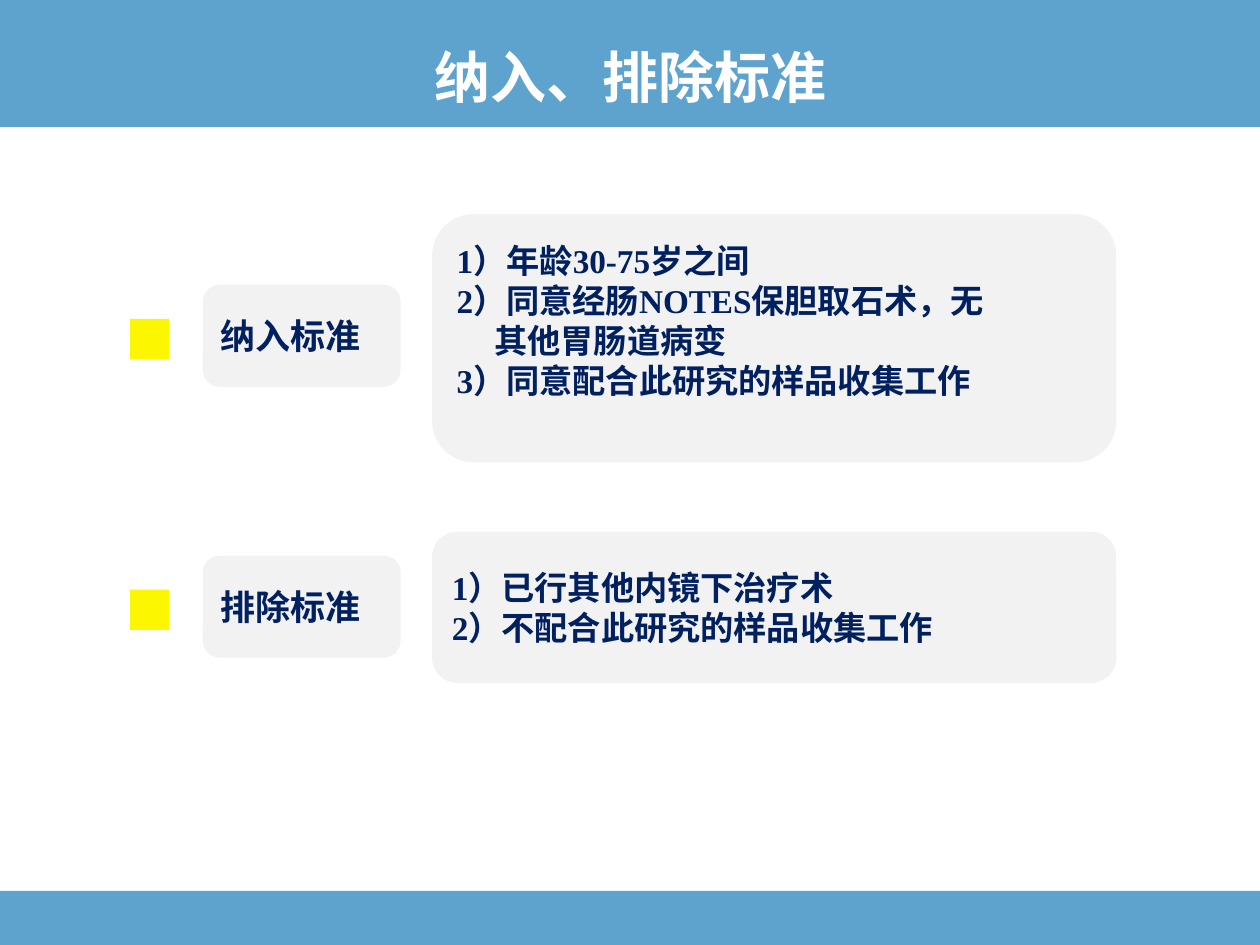
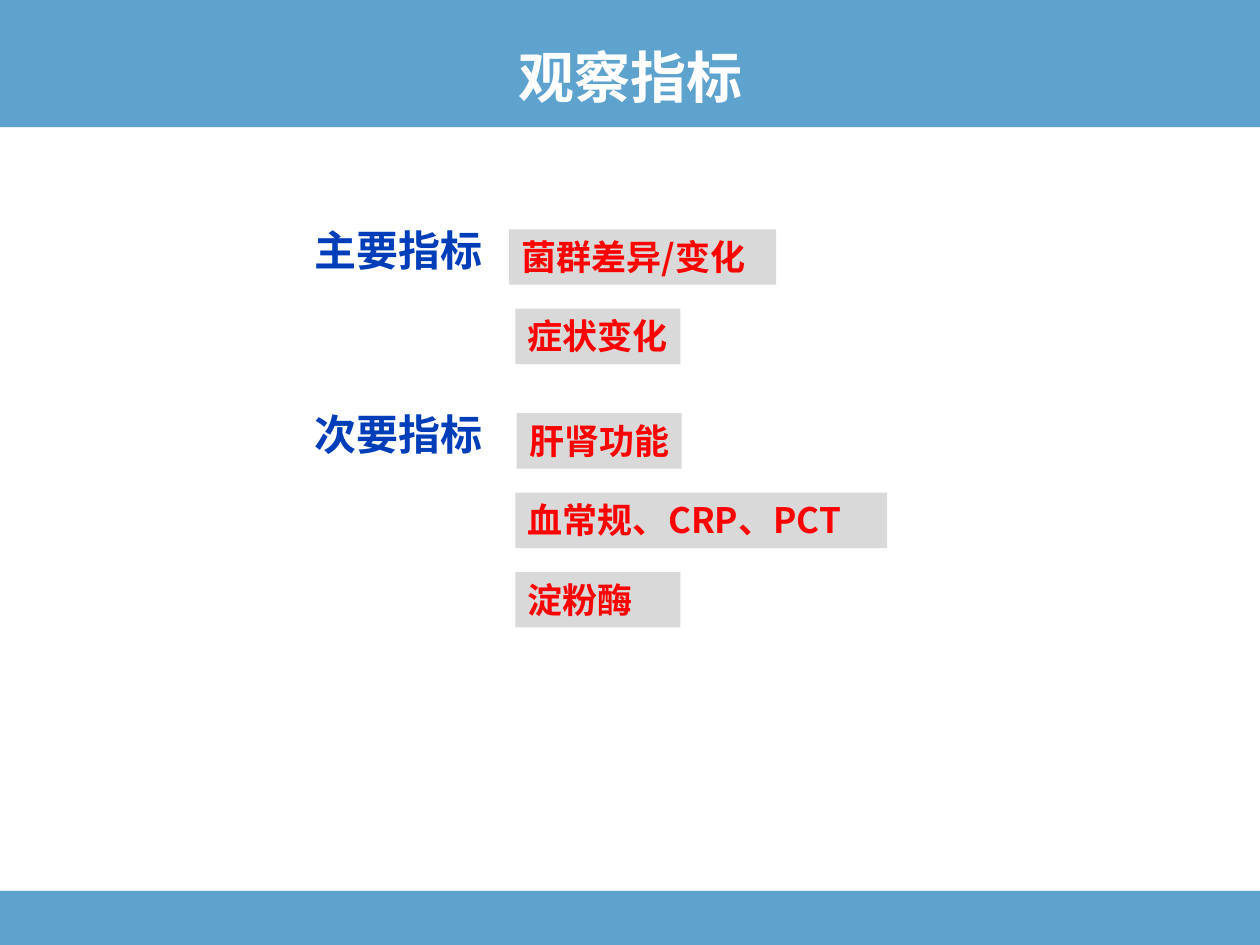
"""Build two study-design slides: selection criteria and outcome measures."""
from lxml import etree
from pptx import Presentation, util as u
from pptx.dml.color import RGBColor
from pptx.enum import shapes, text
from pptx.oxml.ns import qn

COLORS = {"band": "358CC1", "title": "FFFFFF", "panel": "F2F2F2", "navy": "002060",
          "marker": "FCF600", "tag": "D9D9D9", "red": "FF0000", "blue": "003DB8"}
CJK = "Noto Sans CJK SC"
RECT = shapes.MSO_SHAPE.RECTANGLE
ROUND = shapes.MSO_SHAPE.ROUNDED_RECTANGLE

prs = Presentation()
prs.slide_width, prs.slide_height = u.Inches(10), u.Inches(7.5)
COL, ROW = prs.slide_width / 100, prs.slide_height / 75


def add_block(s, kind, x, y, w, h, fill):
    """Add a borderless filled shape, placed in grid columns and rows."""
    sp = s.shapes.add_shape(kind, int(x * COL), int(y * ROW), int(w * COL), int(h * ROW))
    sp.shadow.inherit = False
    sp.line.fill.background()
    sp.fill.solid()
    sp.fill.fore_color.rgb = RGBColor.from_string(COLORS[fill])
    return sp


def write(sp, lines, font, size, color, anchor, align=text.PP_ALIGN.LEFT):
    """Fill a shape with bold paragraphs in one style."""
    tf = sp.text_frame
    tf.word_wrap = True
    tf.auto_size = text.MSO_AUTO_SIZE.NONE
    tf.vertical_anchor = anchor
    for i, line in enumerate(lines):
        p = tf.paragraphs[0] if i == 0 else tf.add_paragraph()
        p.text = line
        p.alignment = align
        p.font.name, p.font.size, p.font.bold = font, u.Pt(size), True
        p.font.color.rgb = RGBColor.from_string(COLORS[color])
        etree.SubElement(p._p.pPr.find(qn("a:defRPr")), qn("a:ea"), typeface=CJK)
    return tf


MIDDLE, TOP, BOTTOM = (text.MSO_ANCHOR.MIDDLE, text.MSO_ANCHOR.TOP, text.MSO_ANCHOR.BOTTOM)

layout = prs.slide_layouts[5]
slides = []
for title in ("纳入、排除标准", "观察指标"):
    s = prs.slides.add_slide(layout)
    sp = s.shapes.title
    sp.left, sp.top = int(4.7 * COL), int(ROW)
    sp.width, sp.height = int(90.7 * COL), int(8.3 * ROW)
    tf = write(sp, [title], "Roboto", 32, "title", BOTTOM, text.PP_ALIGN.CENTER)
    tf.paragraphs[0].line_spacing = 0.9
    slides.append(s)
criteria, outcomes = slides

for y, h in ((0, 10.1), (70.7, 4.3)):
    sp = add_block(criteria, RECT, 0, y, 100, h, "band")
    rgb = sp._element.spPr.find(qn("a:solidFill"))[0]
    etree.SubElement(rgb, qn("a:alpha"), val="80000")
    layout.shapes._spTree.insert(2, sp._element)

groups = [
    ("纳入标准", 26.7, 17, 19.7, ["1）年龄30-75岁之间", "2）同意经肠NOTES保胆取石术，无",
                              "其他胃肠道病变", "3）同意配合此研究的样品收集工作"]),
    ("排除标准", 48.2, 42.2, 12, ["1）已行其他内镜下治疗术", "2）不配合此研究的样品收集工作"]),
]
for label, center, top, height, lines in groups:
    sp = add_block(criteria, ROUND, 16.1, center - 4.1, 15.7, 8.1, "panel")
    write(sp, [label], "Times New Roman", 20, "navy", MIDDLE)
    add_block(criteria, RECT, 10.3, center - 1.4, 3.1, 3.2, "marker")
    sp = add_block(criteria, ROUND, 34.3, top, 54.3, height, "panel")
    tf = write(sp, lines, "Times New Roman", 19, "navy", MIDDLE)
    for p in tf.paragraphs:
        if not p.text[0].isdigit():
            p._p.pPr.set("marL", str(u.Inches(0.3)))
    if len(lines) > 2:
        tf.margin_bottom = u.Inches(0.34)

measures = [
    ("主要指标", 18.2, [("菌群差异/变化", 40.4, 21.2), ("症状变化", 40.9, 13.1)]),
    ("次要指标", 32.8, [("肝肾功能", 41, 13.1), ("血常规、CRP、PCT", 40.9, 29.5),
                    ("淀粉酶", 40.9, 13.1)]),
]
for label, top, tags in measures:
    sp = criteria_label = outcomes.shapes.add_textbox(
        int(24 * COL), int((top - 0.9) * ROW), int(19.7 * COL), int(9 * ROW))
    write(sp, [label], CJK, 24, "blue", TOP)
    for i, (tag, x, w) in enumerate(tags):
        sp = add_block(outcomes, RECT, x, top + 6.3 * i, w, 4.4, "tag")
        write(sp, [tag], CJK, 20, "red", TOP).margin_right = 0

prs.save("out.pptx")
